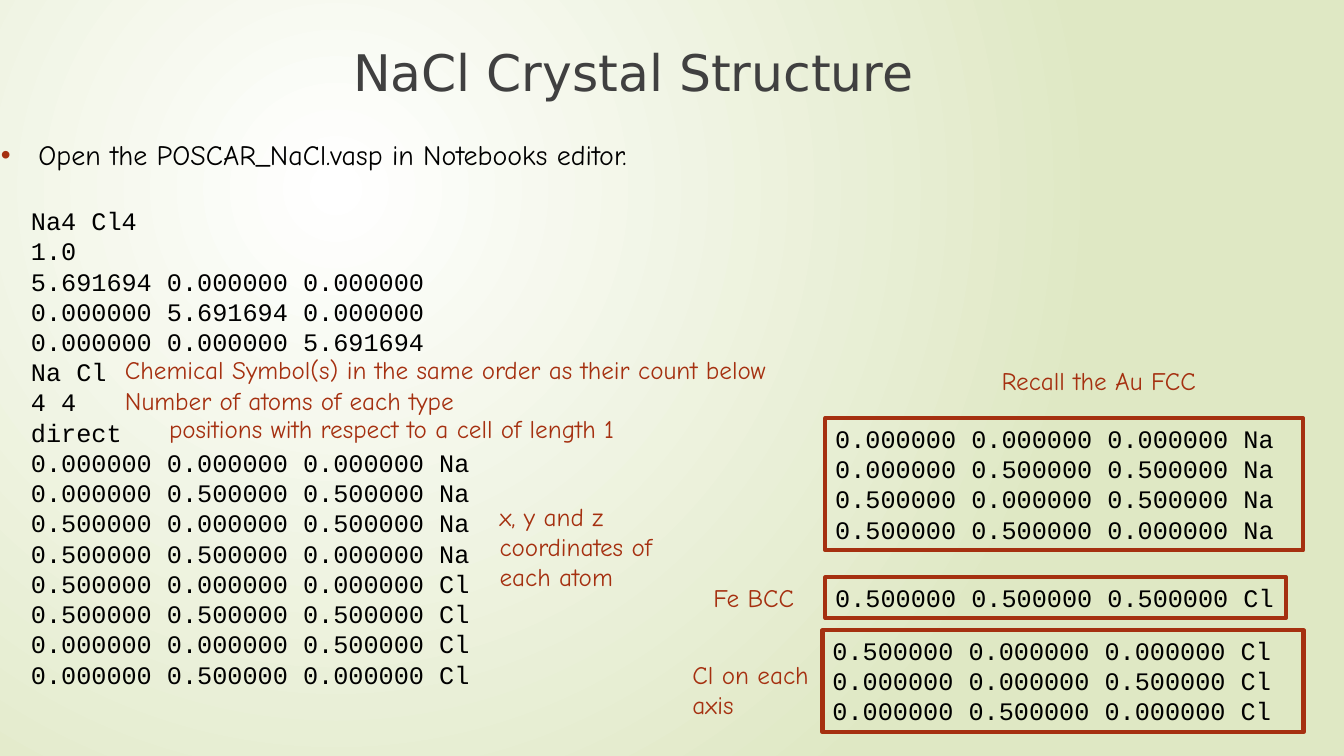
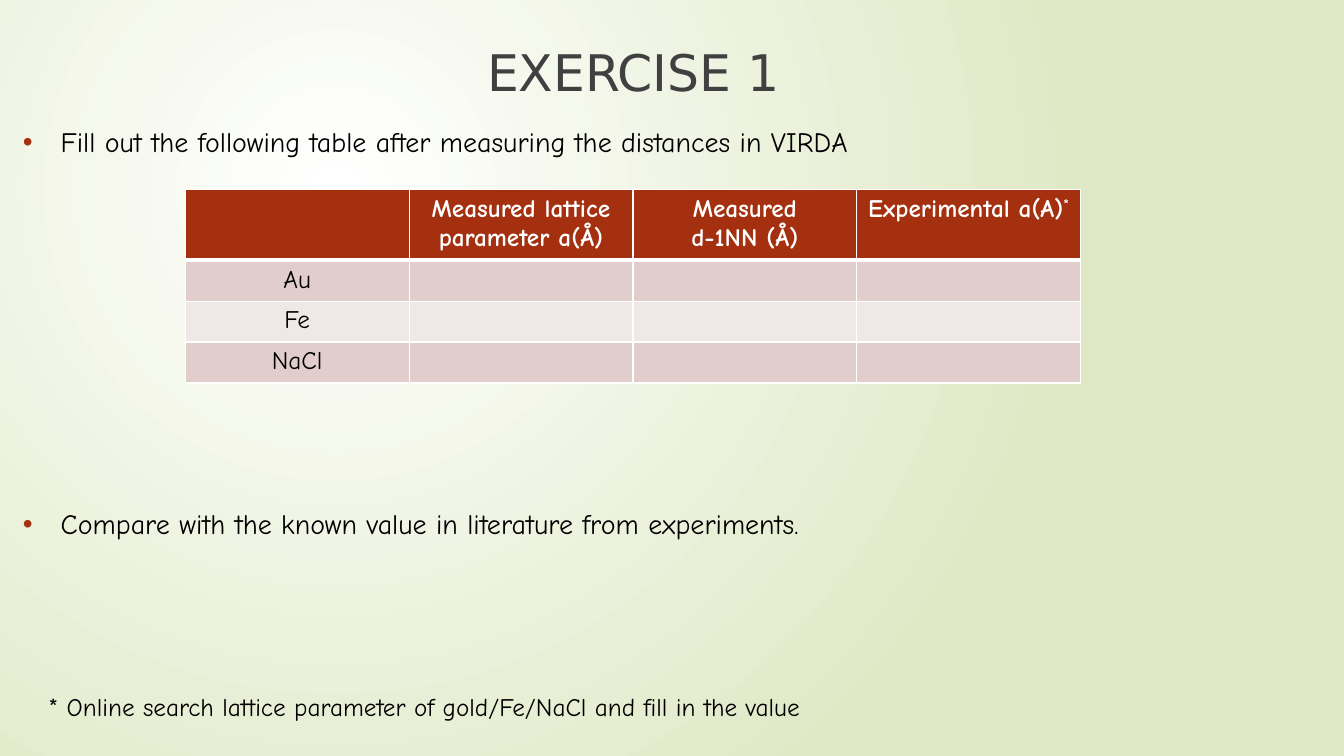
from lxml.etree import SubElement
from pptx import Presentation
from pptx.dml.color import RGBColor
from pptx.enum.text import PP_ALIGN
from pptx.oxml.ns import qn
from pptx.util import Cm, Pt

WHITE = RGBColor(0xFF, 0xFF, 0xFF)
BLACK = RGBColor(0x00, 0x00, 0x00)
GREEN = RGBColor(0xDF, 0xE8, 0xC4)
GREY = RGBColor(0x40, 0x40, 0x40)
RUST = RGBColor(0xA5, 0x30, 0x10)
BAND_COLORS = (RGBColor(0xE1, 0xCD, 0xCC), RGBColor(0xF0, 0xE8, 0xE7))

# Font formats
TITLE = {"name": "DejaVu Sans", "size": Pt(36), "color": GREY}
BULLET = {"name": "Comic Neue", "size": Pt(20), "color": BLACK}
BODY = BULLET | {"size": Pt(18)}
NOTE = BODY | {"color": RUST}
HEADER = BODY | {"color": WHITE, "bold": True}
CODE = BODY | {"name": "Courier New"}

# Places are left, top, width, height in centimetres
TITLE_PLACE = (3.58, 0.91, 24.77, 3.56)
LINE_HEIGHT = 1.02

ATOMS = [
    "0.000000 0.000000 0.000000 Na",
    "0.000000 0.500000 0.500000 Na",
    "0.500000 0.000000 0.500000 Na",
    "0.500000 0.500000 0.000000 Na",
    "0.500000 0.000000 0.000000 Cl",
    "0.500000 0.500000 0.500000 Cl",
    "0.000000 0.000000 0.500000 Cl",
    "0.000000 0.500000 0.000000 Cl",
]
POSCAR = [
    "Na4 Cl4",
    "1.0",
    "5.691694 0.000000 0.000000",
    "0.000000 5.691694 0.000000",
    "0.000000 0.000000 5.691694",
    "Na Cl",
    "4 4",
    "direct",
    *ATOMS,
]
ATOM_GROUPS = [
    (ATOMS[:4], (20.8, 10.54, 12.04, 3.33)),
    (ATOMS[5:6], (20.8, 14.55, 11.61, LINE_HEIGHT)),
    ([ATOMS[4], *ATOMS[6:]], (20.73, 15.88, 12.12, 2.57)),
]
NOTES = [
    ("Chemical Symbol(s) in the same order as their count below",
     (2.9, 8.81, 17.98, LINE_HEIGHT)),
    ("Number of atoms of each type", (2.9, 9.58, 9.86, LINE_HEIGHT)),
    ("positions with respect to a cell of length 1",
     (4.01, 10.29, 13.08, LINE_HEIGHT)),
    ("x, y and z coordinates of each atom", (12.34, 12.5, 4.5, 2.57)),
    ("Recall the Au FCC", (24.99, 9.07, 6.58, LINE_HEIGHT)),
    ("Fe BCC", (17.73, 14.55, 2.82, LINE_HEIGHT)),
    ("Cl on each axis", (17.2, 16.48, 3.53, 1.8)),
]
OPEN_STEP = ["Open the POSCAR_NaCl.vasp in Notebooks editor."]

EXERCISE_STEPS = [
    "Fill out the following table after measuring the distances in VIRDA",
    "Compare with the known value in literature from experiments.",
]
TABLE_GAP = Pt(249)
FOOTNOTE = "* Online search lattice parameter of gold/Fe/NaCl and fill in the value"
MARK = "*"
HEADINGS = [
    [],
    ["Measured lattice parameter a(Å)"],
    ["Measured", "d-1NN (Å)"],
    ["Experimental a(A)" + MARK],
]
MATERIALS = ["Au", "Fe", "NaCl"]
TABLE_LEFT, TABLE_TOP = 4.67, 4.78
COLUMN_WIDTH, HEADER_HEIGHT, ROW_HEIGHT = 5.64, 1.7, 1.03


def add_span(para, text, style):
    span = para.add_run()
    span.text = text
    for key, value in style.items():
        if key == "color":
            span.font.color.rgb = value
        else:
            setattr(span.font, key, value)
    return span


def write_lines(frame, lines, style, align=PP_ALIGN.LEFT):
    for index, line in enumerate(lines):
        para = frame.paragraphs[0] if index == 0 else frame.add_paragraph()
        para.alignment = align
        add_span(para, line, style)


def add_text(page, lines, place, style, align=PP_ALIGN.LEFT):
    box = page.shapes.add_textbox(*map(Cm, place))
    box.text_frame.word_wrap = True
    write_lines(box.text_frame, lines, style, align)
    return box


def add_bullets(page, lines, left, top, gap=Pt(10)):
    """Add bulleted lines with the given gap between them."""
    box = add_text(page, lines, (left, top, 30.5, 14.94), BULLET)
    for index, para in enumerate(box.text_frame.paragraphs):
        if index:
            para.space_before = gap
        properties = para._p.get_or_add_pPr()
        properties.set("marL", str(Cm(0.95)))
        properties.set("indent", str(-Cm(0.95)))
        color = SubElement(properties, qn("a:buClr"))
        SubElement(color, qn("a:srgbClr"), val=str(RUST))
        SubElement(properties, qn("a:buFont"), typeface="Arial")
        SubElement(properties, qn("a:buChar"), char="•")


def add_page(deck, title):
    """Add a blank slide with the shared radial background and title."""
    page = deck.slides.add_slide(deck.slide_layouts[6])
    fill = page.background.fill
    fill.gradient()
    for stop, color in zip(fill.gradient_stops, (WHITE, GREEN)):
        stop.color.rgb = color
    gradient = page.element.find(".//" + qn("a:gradFill"))
    gradient.remove(gradient.find(qn("a:lin")))
    circle = SubElement(gradient, qn("a:path"), path="circle")
    SubElement(circle, qn("a:fillToRect"),
               l="50000", t="50000", r="100000", b="100000")
    add_text(page, [title], TITLE_PLACE, TITLE, PP_ALIGN.CENTER)
    return page


def format_cell(cell, color, bottom=1):
    """Fill a cell and give it white borders; bottom is a width in points."""
    properties = cell._tc.get_or_add_tcPr()
    for side, width in {"L": 1, "R": 1, "T": 1, "B": bottom}.items():
        border = SubElement(properties, qn("a:ln" + side), w=str(Pt(width)))
        solid = SubElement(border, qn("a:solidFill"))
        SubElement(solid, qn("a:srgbClr"), val=str(WHITE))
    cell.fill.solid()
    cell.fill.fore_color.rgb = color


def add_lattice_table(page):
    row_count, column_count = len(MATERIALS) + 1, len(HEADINGS)
    table = page.shapes.add_table(
        row_count, column_count, Cm(TABLE_LEFT), Cm(TABLE_TOP),
        Cm(COLUMN_WIDTH * column_count),
        Cm(HEADER_HEIGHT + ROW_HEIGHT * len(MATERIALS))).table
    for column in table.columns:
        column.width = Cm(COLUMN_WIDTH)
    for index, row in enumerate(table.rows):
        row.height = Cm(ROW_HEIGHT if index else HEADER_HEIGHT)

    for column, lines in enumerate(HEADINGS):
        cell = table.cell(0, column)
        format_cell(cell, RUST, bottom=3)
        write_lines(cell.text_frame, [line.rstrip(MARK) for line in lines],
                    HEADER, PP_ALIGN.CENTER)
        if lines and lines[-1].endswith(MARK):
            mark = add_span(cell.text_frame.paragraphs[-1], MARK, HEADER)
            mark.font._element.set("baseline", "30000")

    for row, material in enumerate(MATERIALS, start=1):
        for column in range(column_count):
            format_cell(table.cell(row, column), BAND_COLORS[(row - 1) % 2],)
        write_lines(table.cell(row, 0).text_frame, [material], BODY,
                    PP_ALIGN.CENTER)


def build_structure_page(deck):
    page = add_page(deck, "NaCl Crystal Structure")
    add_text(page, POSCAR, (0.53, 5.05, 16.94, 12.57), CODE)
    add_bullets(page, OPEN_STEP, -0.23, 3.35)
    for atoms, place in ATOM_GROUPS:
        box = add_text(page, atoms, place, CODE)
        box.line.color.rgb = RUST
        box.line.width = Pt(3)
    for note, place in NOTES:
        add_text(page, [note], place, NOTE)


def build_exercise_page(deck):
    page = add_page(deck, "EXERCISE 1")
    add_lattice_table(page)
    add_text(page, [FOOTNOTE], (0.97, 17.3, 21.64, LINE_HEIGHT), BODY)
    add_bullets(page, EXERCISE_STEPS, 0.33, 3.02, TABLE_GAP)


def main():
    deck = Presentation()
    deck.slide_width, deck.slide_height = Cm(33.87), Cm(19.05)
    build_structure_page(deck)
    build_exercise_page(deck)
    deck.save("out.pptx")


if __name__ == "__main__":
    main()
